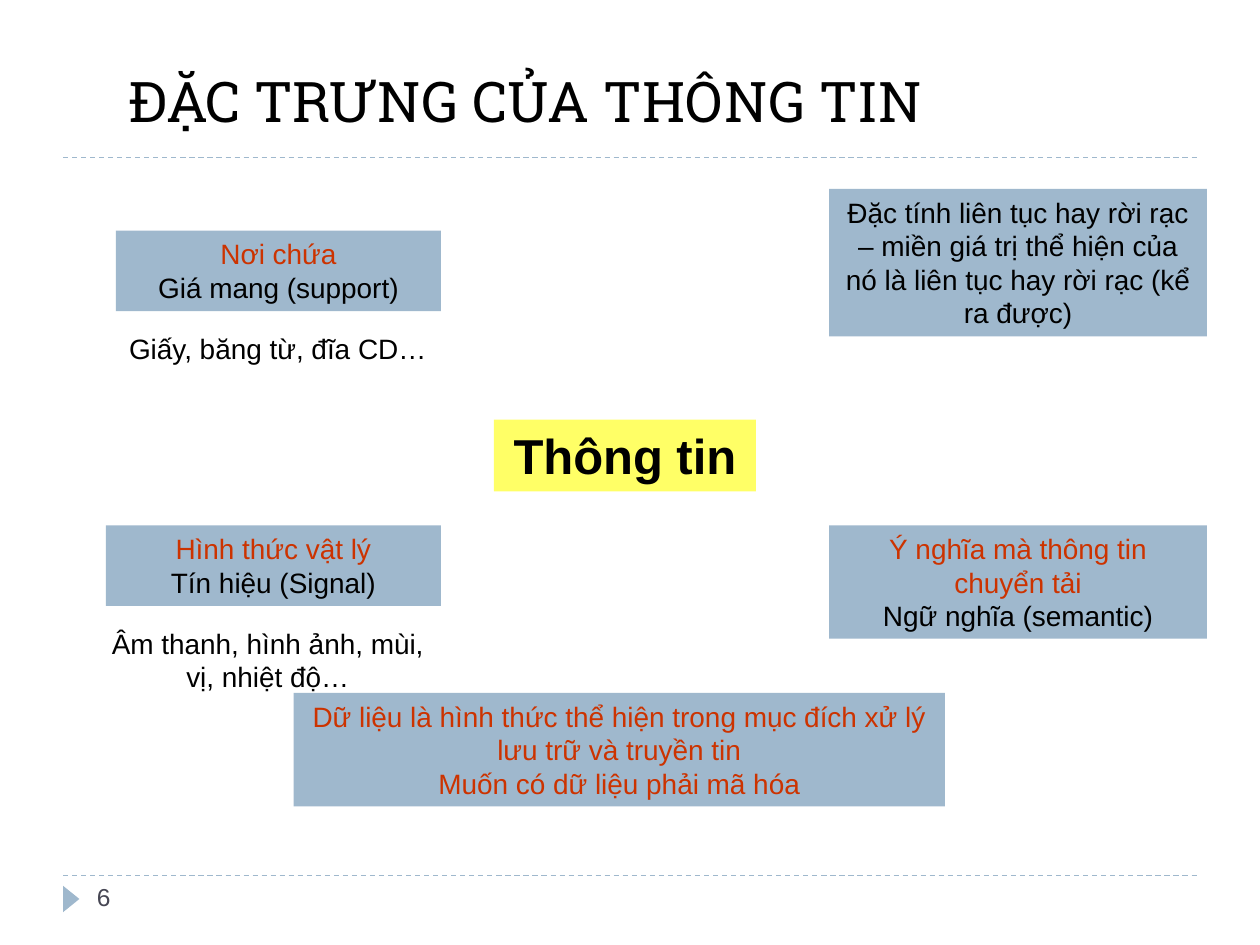
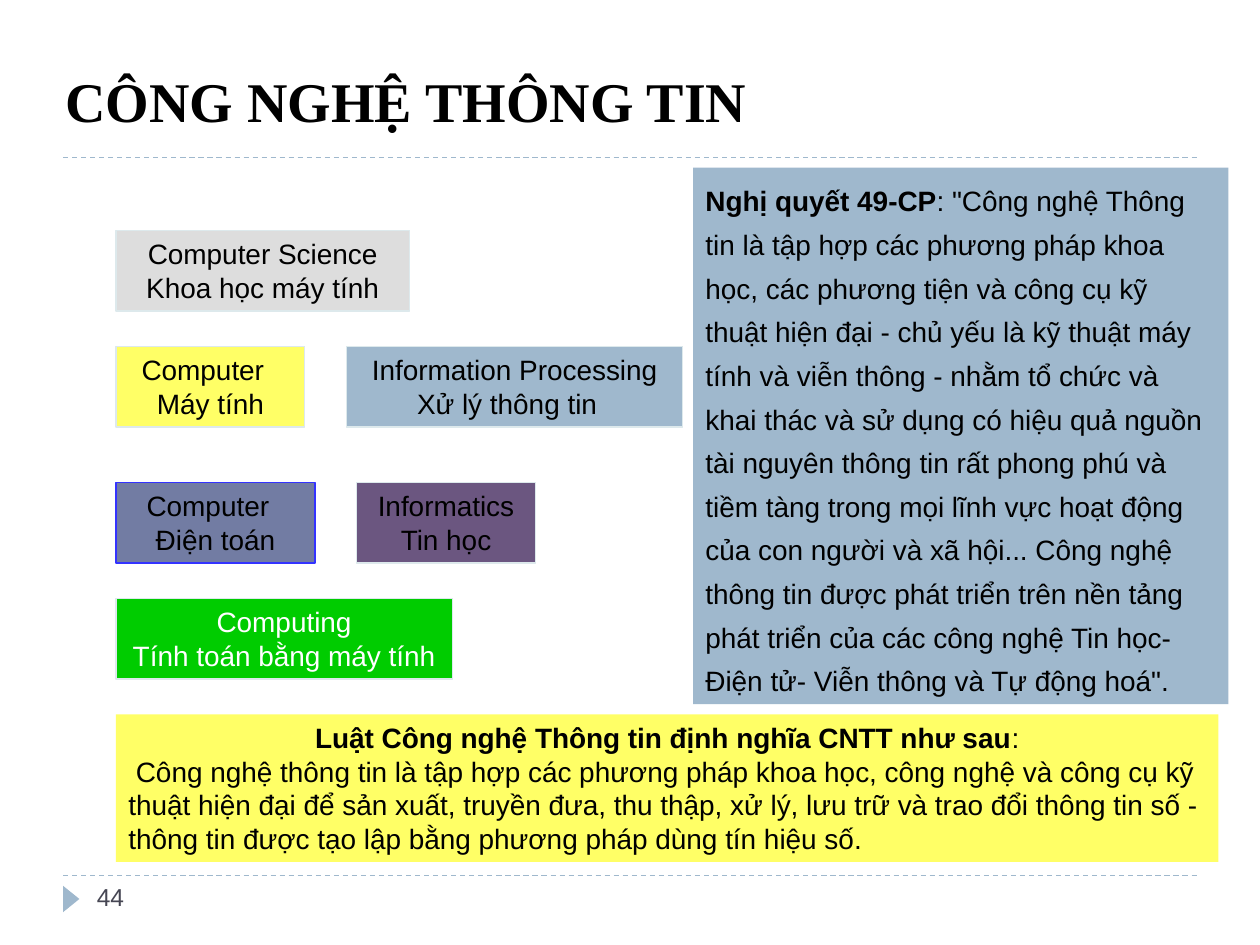
from dataclasses import dataclass

from pptx import Presentation
from pptx.dml.color import RGBColor
from pptx.enum.dml import MSO_LINE
from pptx.enum.shapes import MSO_CONNECTOR, MSO_SHAPE
from pptx.enum.text import MSO_ANCHOR, PP_ALIGN
from pptx.oxml.ns import qn
from pptx.util import Emu, Pt

EMU_PER_PX = 9144
COLORS = {
    "black": "000000",
    "white": "FFFFFF",
    "slate": "464653",
    "red": "CC3300",
    "blue": "9FB8CD",
    "yellow": "FFFF66",
    "gray": "DDDDDD",
    "plum": "6B5680",
    "indigo": "727CA3",
    "green": "00CC00",
    "pale": "DDE9EC",
    "bright_blue": "3333FF",
}


@dataclass(frozen=True)
class Run:
    text: str
    color: str = "black"
    bold: bool = False


@dataclass(frozen=True)
class Line:
    runs: tuple[Run, ...]
    centered: bool = True
    spacing: float = 1.0
    right_margin: int = 0
    indent: int = 0


@dataclass(frozen=True)
class Box:
    left: int
    top: int
    width: int
    height: int
    lines: tuple[Line, ...]
    fill: str = ""
    border: str = ""
    size: int = 16
    font: str = "Arial"
    anchor: MSO_ANCHOR = MSO_ANCHOR.TOP


@dataclass(frozen=True)
class Page:
    title: Box
    number: int
    boxes: tuple[Box, ...]


def px(length: int) -> Emu:
    return Emu(length * EMU_PER_PX)


def rgb(name: str) -> RGBColor:
    return RGBColor.from_string(COLORS[name])


def centered(*runs: Run, right_margin: int = 0) -> Line:
    return Line(runs, right_margin=right_margin)


def flush(*runs: Run, spacing: float = 1.0, indent: int = 0) -> Line:
    return Line(runs, False, spacing, indent=indent)


def heading(left: int, width: int, text: str, font: str, bold: bool = False) -> Box:
    return Box(left, 33, width, 78, (flush(Run(text, bold=bold)),),
               size=32, font=font, anchor=MSO_ANCHOR.BOTTOM)


def labelled(left: int, top: int, width: int, height: int, label: str, name: str) -> Box:
    return Box(left, top, width, height,
               (centered(Run(label + "\n", "red"), Run(name)),), "blue")


def term(left: int, top: int, width: int, fill: str, english: str, vietnamese: str,
         color: str = "black", border: str = "pale", margins: tuple[int, int] = (0, 0)) -> Box:
    lines = tuple(centered(Run(text, color), right_margin=margin)
                  for text, margin in zip((english, vietnamese), margins))
    return Box(left, top, width, 64, lines, fill, border)


def add_runs(paragraph, box: Box, line: Line) -> None:
    for item in line.runs:
        for index, text in enumerate(item.text.split("\n")):
            if index:
                paragraph.add_line_break()
            if text:
                run = paragraph.add_run()
                run.text = text
                run.font.name = box.font
                run.font.size = Pt(box.size)
                run.font.bold = item.bold
                run.font.color.rgb = rgb(item.color)


def draw_box(slide, box: Box) -> None:
    frame = tuple(px(length) for length in (box.left, box.top, box.width, box.height))
    if box.fill:
        shape = slide.shapes.add_shape(MSO_SHAPE.RECTANGLE, *frame)
        shape.shadow.inherit = False
        shape.fill.solid()
        shape.fill.fore_color.rgb = rgb(box.fill)
        if box.border:
            shape.line.color.rgb = rgb(box.border)
            shape.line.width = Pt(0.75)
        else:
            shape.line.fill.background()
    else:
        shape = slide.shapes.add_textbox(*frame)
    text_frame = shape.text_frame
    text_frame.word_wrap = True
    text_frame.vertical_anchor = box.anchor
    text_frame.margin_left = text_frame.margin_right = px(10)
    text_frame.margin_top = text_frame.margin_bottom = px(5)
    for index, line in enumerate(box.lines):
        paragraph = text_frame.add_paragraph() if index else text_frame.paragraphs[0]
        paragraph.alignment = PP_ALIGN.CENTER if line.centered else PP_ALIGN.LEFT
        paragraph.line_spacing = line.spacing
        properties = paragraph._p.get_or_add_pPr()
        properties.set("marR", str(px(line.right_margin)))
        properties.set("indent", str(px(line.indent)))
        add_runs(paragraph, box, line)


def draw_rule(slide, top: int) -> None:
    rule = slide.shapes.add_connector(MSO_CONNECTOR.STRAIGHT, px(50), px(top), px(950), px(top))
    rule.line.color.rgb = rgb("blue")
    rule.line.width = Pt(0.75)
    rule.line.dash_style = MSO_LINE.DASH
    properties = rule._element.spPr
    properties.append(properties.makeelement(qn("a:effectLst"), {}))


def draw_page(presentation, page: Page) -> None:
    slide = presentation.slides.add_slide(presentation.slide_layouts[6])
    for top in (695, 125):
        draw_rule(slide, top)
    marker = slide.shapes.add_shape(MSO_SHAPE.ISOSCELES_TRIANGLE, px(46), px(707), px(21), px(13))
    marker.rotation = 90
    marker.shadow.inherit = False
    marker.fill.solid()
    marker.fill.fore_color.rgb = rgb("blue")
    marker.line.fill.background()
    number = Box(67, 695, 217, 40, (flush(Run(str(page.number), "slate")),), size=14)
    for box in (page.title, *page.boxes, number):
        draw_box(slide, box)


FEATURES = Page(
    heading(92, 908, "ĐẶC TRƯNG CỦA THÔNG TIN", "Roboto Slab"),
    6,
    (
        Box(658, 150, 300, 117, (centered(Run(
            "Đặc tính liên tục hay rời rạc – miền giá trị thể hiện của nó "
            "là liên tục hay rời rạc (kể ra được)")),), "blue"),
        labelled(658, 417, 300, 90, "Ý nghĩa mà thông tin chuyển tải", "Ngữ nghĩa (semantic)"),
        labelled(84, 417, 266, 64, "Hình thức vật lý", "Tín hiệu (Signal)"),
        Box(75, 492, 275, 64, (centered(Run("Âm thanh, hình ảnh, mùi, vị, nhiệt độ…")),)),
        labelled(92, 183, 258, 64, "Nơi chứa", "Giá mang (support)"),
        Box(83, 258, 275, 37, (centered(Run("Giấy, băng từ, đĩa CD…")),)),
        Box(392, 333, 208, 57, (centered(Run("Thông tin", bold=True)),), "yellow", size=28),
        Box(233, 550, 517, 90, (centered(Run(
            "Dữ liệu là hình thức thể hiện trong mục đích xử lý lưu trữ và truyền tin\n"
            "Muốn có dữ liệu phải mã hóa", "red")),), "blue"),
    ),
)

TECHNOLOGY = Page(
    heading(42, 800, "CÔNG NGHỆ THÔNG TIN", "Times New Roman", True),
    44,
    (
        term(92, 183, 233, "gray", "Computer Science", "Khoa học máy tính"),
        term(92, 275, 150, "yellow", "Computer", "Máy tính", margins=(12, 0)),
        term(275, 275, 267, "blue", "Information Processing", "Xử lý thông tin", margins=(0, 12)),
        term(283, 383, 142, "plum", "Informatics", "Tin học"),
        term(92, 383, 158, "indigo", "Computer", "Điện toán",
             border="bright_blue", margins=(12, 0)),
        Box(550, 133, 425, 426, (flush(
            Run("Nghị quyết 49-CP", bold=True),
            Run(": \"Công nghệ Thông tin là tập hợp các phương pháp khoa học, các phương tiện "
                "và công cụ kỹ thuật hiện đại - chủ yếu là kỹ thuật máy tính và viễn thông - "
                "nhằm tổ chức và khai thác và sử dụng có hiệu quả nguồn tài nguyên thông tin "
                "rất phong phú và tiềm tàng trong mọi lĩnh vực hoạt động của con người và "
                "xã hội... Công nghệ thông tin được phát triển trên nền tảng phát triển của "
                "các công nghệ Tin học-Điện tử- Viễn thông và Tự động hoá\"."),
            spacing=1.3),), "blue"),
        term(92, 475, 267, "green", "Computing", "Tính toán bằng máy tính", color="white"),
        Box(92, 567, 875, 117, (
            centered(Run("Luật Công nghệ Thông tin định nghĩa CNTT như sau", bold=True), Run(":")),
            flush(Run(
                "Công nghệ thông tin là tập hợp các phương pháp khoa học, công nghệ và công cụ "
                "kỹ thuật hiện đại để sản xuất, truyền đưa, thu thập, xử lý, lưu trữ và trao đổi "
                "thông tin số - thông tin được tạo lập bằng phương pháp dùng tín hiệu số."),
                indent=6),
        ), "yellow"),
    ),
)


def main() -> None:
    presentation = Presentation()
    presentation.slide_width = px(1000)
    presentation.slide_height = px(750)
    for page in (FEATURES, TECHNOLOGY):
        draw_page(presentation, page)
    presentation.save("out.pptx")


if __name__ == "__main__":
    main()
